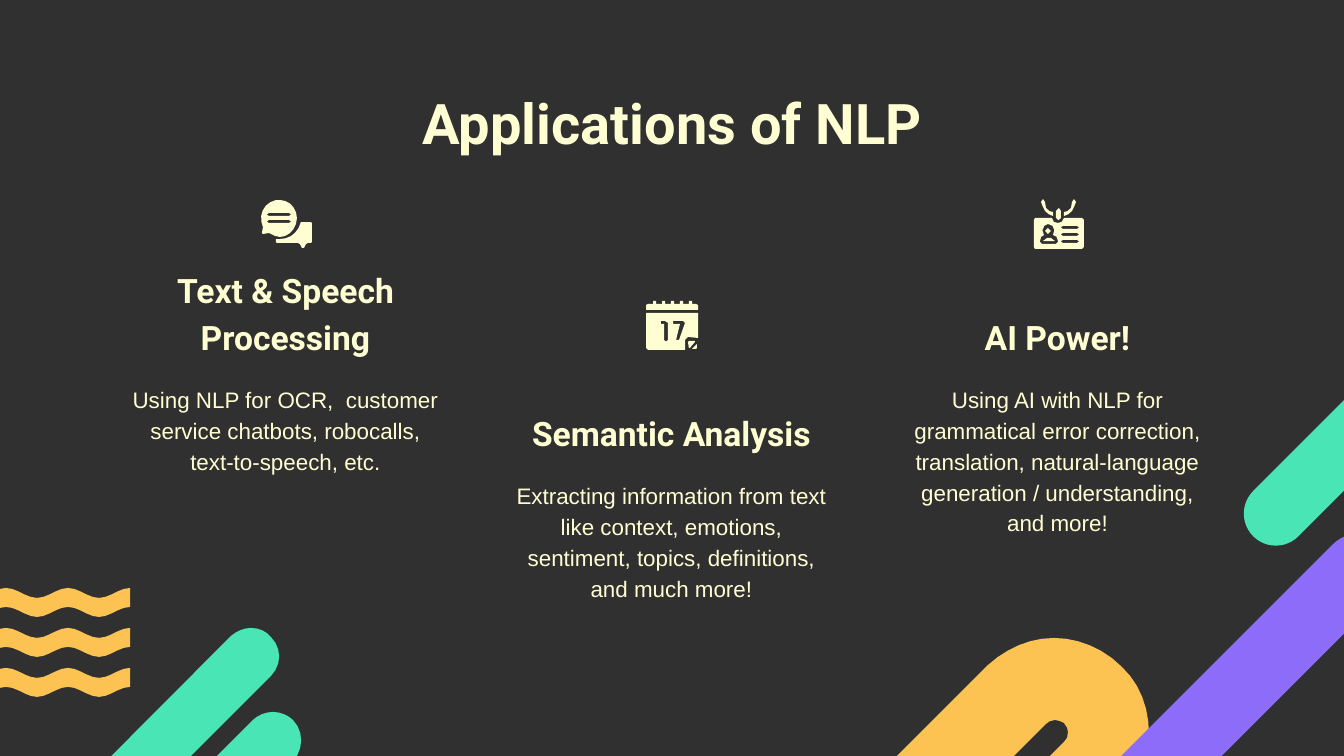
from dataclasses import dataclass
from math import ceil, cos, dist, pi

from pptx import Presentation
from pptx.dml.color import RGBColor
from pptx.enum.shapes import MSO_SHAPE
from pptx.enum.text import MSO_ANCHOR, PP_ALIGN
from pptx.util import Pt

SCALE = 914400 / 134.4
ARGUMENTS = {"M": 2, "L": 2, "C": 6}


@dataclass(frozen=True)
class Theme:
    background: str = "303030"
    cream: str = "FFFED2"
    yellow: str = "FCC353"
    purple: str = "8D6CFA"
    teal: str = "49E5B5"
    heading_font: str = "Roboto"
    body_font: str = "Arial"
    title_size: int = 30
    heading_size: int = 18
    body_size: int = 12


def emu(length):
    return round(length * SCALE)


def format_text(para, text, *, font, size, color, bold=False):
    para.alignment = PP_ALIGN.CENTER
    para.line_spacing = 1.15
    span = para.add_run()
    span.text = text
    span.font.name = font
    span.font.size = Pt(size)
    span.font.bold = bold
    span.font.color.rgb = RGBColor.from_string(color)


def curve(*controls):
    length = sum(dist(a, b) for a, b in zip(controls, controls[1:]))
    steps = min(6, max(1, ceil(length / 7)))
    points = []
    for step in range(1, steps + 1):
        t = step / steps
        weights = ((1 - t) ** 3, 3 * t * (1 - t) ** 2, 3 * t * t * (1 - t), t ** 3)
        points.append(tuple(sum(w * c for w, c in zip(weights, axis)) for axis in zip(*controls)))
    return points


def contours(drawing):
    result = []
    tokens = iter(drawing.split())
    for command in tokens:
        numbers = [int(next(tokens)) for _ in range(ARGUMENTS[command])]
        pairs = list(zip(numbers[::2], numbers[1::2]))
        if command == "M":
            result.append(pairs)
        elif command == "L":
            result[-1] += pairs
        else:
            result[-1] += curve(result[-1][-1], *pairs)
    return result


def stripe(left, top, width):
    right, bottom = left + width, top + 3
    return (f" M {left} {top} L {right} {top} C {right + 3} {top} {right + 3} {bottom} {right} {bottom}"
            f" L {left} {bottom} C {left - 3} {bottom} {left - 3} {top} {left} {top}")


def ring(center):
    left, right = center - 1, center + 2
    return f" L {left} 304 L {left} 301 C {left} 299 {right} 299 {right} 301 L {right} 304"


class SlideBuilder:
    """Draws styled elements on the current slide."""

    def __init__(self, page, theme):
        self.page = page
        self.theme = theme
        self.paint(page.background, theme.background)

    def paint(self, target, color):
        target.fill.solid()
        target.fill.fore_color.rgb = RGBColor.from_string(color)

    def finish(self, shape, color):
        self.paint(shape, color)
        shape.line.fill.background()
        shape.shadow.inherit = False

    def outline(self, loops, color, shapes=None):
        loops = [[(emu(x), emu(y)) for x, y in loop] for loop in loops]
        builder = (shapes or self.page.shapes).build_freeform(*loops[0][0], scale=1.0)
        for index, loop in enumerate(loops):
            if index:
                builder.move_to(*loop[0])
            builder.add_line_segments(loop[1:], close=True)
        self.finish(builder.convert_to_shape(), color)

    def icon(self, drawings):
        group = self.page.shapes.add_group_shape()
        for drawing in drawings:
            self.outline(contours(drawing), self.theme.cream, group.shapes)

    def bar(self, left, top, width, height, rotation, color):
        shape = self.page.shapes.add_shape(
            MSO_SHAPE.ROUND_2_SAME_RECTANGLE, *map(emu, (left, top, width, height)))
        shape.adjustments[0] = 0.5
        shape.rotation = rotation
        self.finish(shape, color)

    def wave(self, left, top, width, periods):
        steps = 10 * periods
        edge = [(left + width * step / steps, top + 5 - 5 * cos(2 * pi * step / 10))
                for step in range(steps + 1)]
        self.outline([edge + [(x, y + 19) for x, y in reversed(edge)]], self.theme.yellow)

    def text(self, text, left, top, width, height, anchor=MSO_ANCHOR.TOP, **style):
        box = self.page.shapes.add_textbox(*map(emu, (left, top, width, height)))
        frame = box.text_frame
        frame.word_wrap = True
        frame.vertical_anchor = anchor
        frame.margin_left = frame.margin_right = frame.margin_top = frame.margin_bottom = emu(13)
        format_text(frame.paragraphs[0], text, color=self.theme.cream, **style)

    def column(self, left, top, heading, body):
        self.text(heading, left, top, 337, 111, MSO_ANCHOR.BOTTOM, bold=True,
                  font=self.theme.heading_font, size=self.theme.heading_size)
        self.text(body, left, top + 110, 337, 151,
                  font=self.theme.body_font, size=self.theme.body_size)


YELLOW_LOOP = """M 739 1167 C 750 1167 761 1163 767 1154 L 1122 800 C 1140 782 1150 758 1149 734
C 1149 708 1140 684 1122 667 C 1103 648 1078 638 1054 638 C 1030 638 1007 648 988 665 L 679 974
C 664 991 664 1016 680 1032 C 688 1040 698 1044 708 1044 C 719 1044 730 1040 738 1032 L 1046 724
C 1048 722 1051 720 1055 720 C 1058 720 1062 722 1064 723 C 1067 726 1068 730 1068 732
C 1068 737 1067 739 1064 742 L 710 1097 C 695 1111 695 1138 711 1154 C 719 1163 730 1167 739 1167"""
TEAL_LOOP = """M 251 628 C 244 628 237 631 231 636 L -12 880 C -25 892 -32 910 -32 927
C -31 945 -24 961 -12 973 C 0 986 17 992 35 992 C 51 992 67 986 81 973 L 293 761
C 304 750 304 731 293 720 C 288 715 280 712 273 712 C 266 712 258 715 253 720 L 40 933
C 38 935 36 936 34 936 C 31 936 24 930 24 927 C 24 925 25 922 27 920 L 271 676
C 282 665 282 648 271 637 C 266 631 259 628 251 628"""
CHAT = (
    """M 301 222 C 298 233 290 239 280 239 L 276 239 L 276 242 L 277 243 L 298 243 L 300 244
    L 302 248 L 304 248 L 306 244 L 308 243 L 311 243 L 312 242 L 312 223 L 311 222""",
    """M 280 200 L 276 200 C 263 203 258 216 263 227 L 262 233 L 263 234 L 269 233
    C 273 235 276 237 280 237 C 289 237 297 228 297 218 C 297 208 289 200 280 200"""
    + "".join(stripe(269, top, 20) for top in (213, 220)),
)
CALENDAR = (
    "M 697 344 L 692 349 L 696 349 L 697 348",
    "M 646 310 L 646 305 L 648 304" + "".join(ring(654 + 9 * i) for i in range(5))
    + " L 696 304 L 698 305 L 698 310",
    "M 689 341 L 688 342 L 689 348 L 690 348 L 695 342 L 695 341",
    """M 646 313 L 646 348 L 648 350 L 685 350 L 685 340 L 688 337 L 698 338 L 698 313
    M 683 321 L 685 323 L 679 340 C 679 342 676 341 676 340 L 680 324 L 673 324
    C 671 324 671 321 673 321
    M 665 321 L 668 323 L 668 340 C 668 342 664 342 664 340 L 664 324 L 661 324
    C 659 324 659 321 661 321""",
)
BADGE = (
    """M 1043 199 L 1041 202 C 1042 204 1043 208 1045 211 C 1047 214 1050 215 1053 216
    L 1053 212 C 1051 212 1048 211 1046 208 C 1045 207 1045 204 1045 202 L 1043 199""",
    """M 1035 218 L 1034 220 L 1034 247 L 1035 249 L 1082 249 L 1084 247 L 1084 220 L 1082 218
    L 1064 218 C 1064 222 1060 223 1058 223 C 1055 223 1052 222 1052 218
    M 1048 224 C 1054 224 1056 231 1053 235 C 1056 235 1058 238 1058 241 L 1058 242 L 1056 244
    L 1042 244 L 1040 242 L 1040 241 C 1040 238 1042 235 1044 235 C 1040 231 1044 224 1048 224"""
    + "".join(stripe(1063, top, 14) for top in (226, 233, 240)),
    "M 1047 238 C 1044 238 1043 239 1043 241 L 1055 241 C 1055 239 1054 238 1051 238",
    """M 1074 199 L 1076 202 C 1075 204 1074 208 1072 211 C 1070 214 1067 215 1064 216
    L 1064 212 C 1066 212 1069 211 1071 208 C 1072 207 1072 204 1072 202 L 1074 199""",
    """M 1059 208 L 1056 211 L 1056 218 C 1056 221 1061 221 1061 218 L 1061 211""",
    "M 1048 228 C 1044 228 1044 234 1048 234 C 1052 234 1052 228 1048 228",
)
COLUMNS = (
    (259, "Text & Speech Processing",
     "Using NLP for OCR,  customer service chatbots, robocalls, text-to-speech, etc."),
    (355, "Semantic Analysis",
     "Extracting information from text like context, emotions, sentiment, topics, definitions, and much more!"),
    (259, "AI Power!",
     "Using AI with NLP for grammatical error correction, translation, natural-language generation / understanding, and more!"),
)


def main():
    deck = Presentation()
    deck.slide_width, deck.slide_height = emu(1344), emu(756)
    theme = Theme()
    slide = SlideBuilder(deck.slides.add_slide(deck.slide_layouts[6]), theme)
    slide.outline(contours(YELLOW_LOOP), theme.yellow)
    slide.bar(1188, 478, 71, 452, 45, theme.purple)
    slide.bar(1293, 363, 64, 203, 225, theme.teal)
    for row in range(3):
        slide.wave(-56, 588 + 40 * row, 186, 3)
    slide.outline(contours(TEAL_LOOP), theme.teal)
    slide.text("Applications of NLP", 106, 66, 1133, 85, bold=True,
               font=theme.heading_font, size=theme.title_size)
    for index, (top, heading, body) in enumerate(COLUMNS):
        slide.column(117 + 386 * index, top, heading, body)
    for drawings in (BADGE, CALENDAR, CHAT):
        slide.icon(drawings)
    deck.save("out.pptx")


if __name__ == "__main__":
    main()
